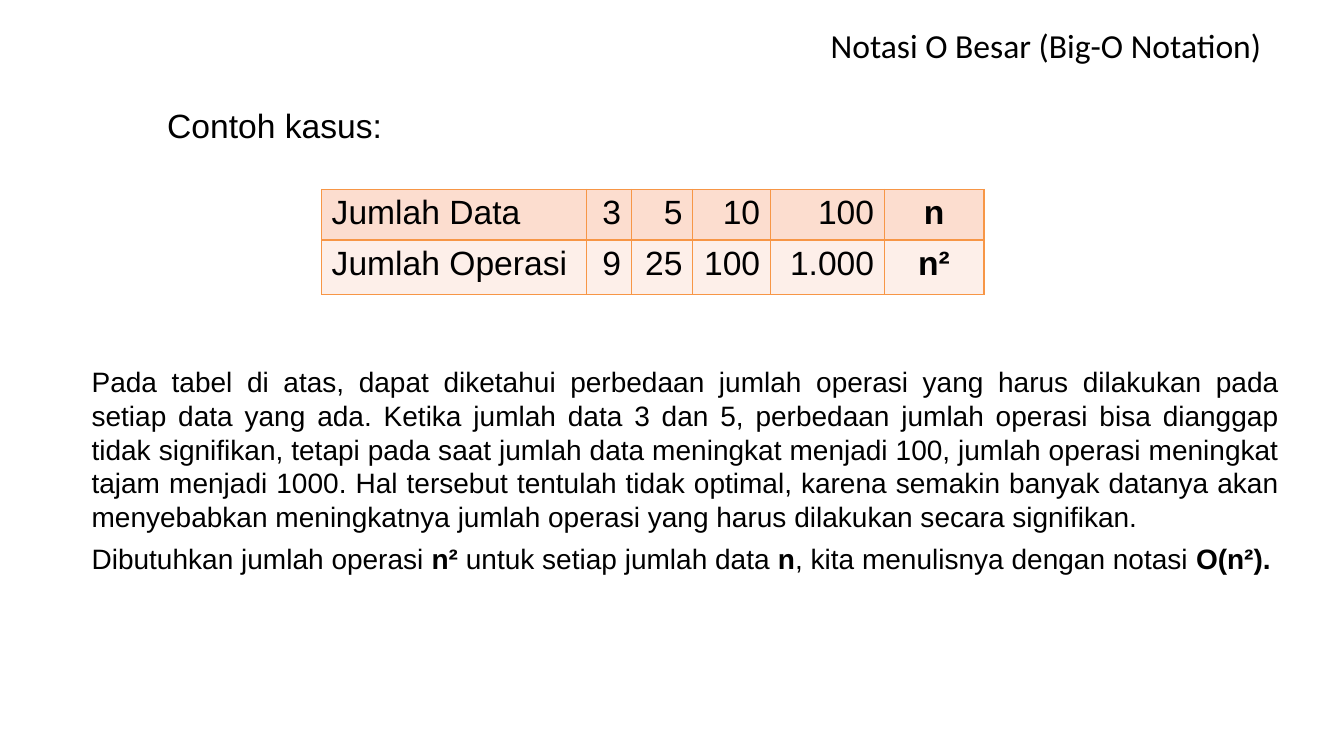
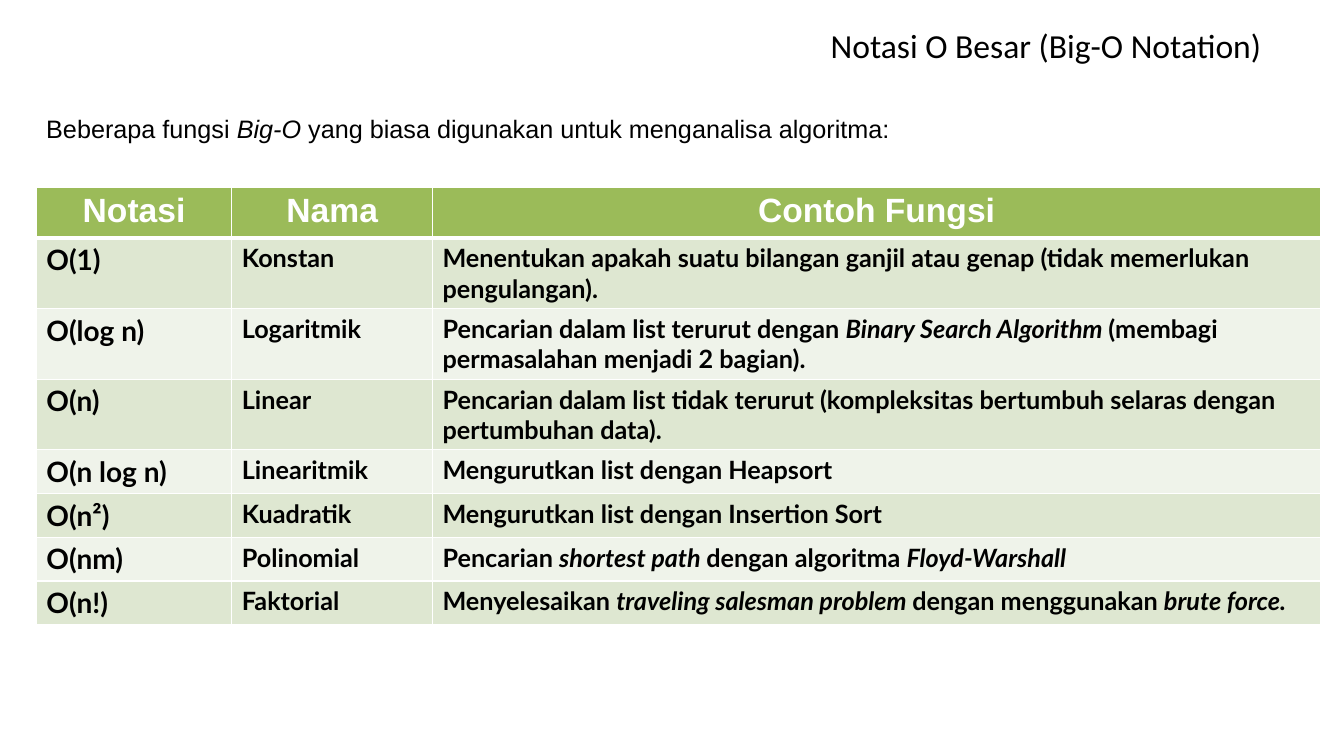
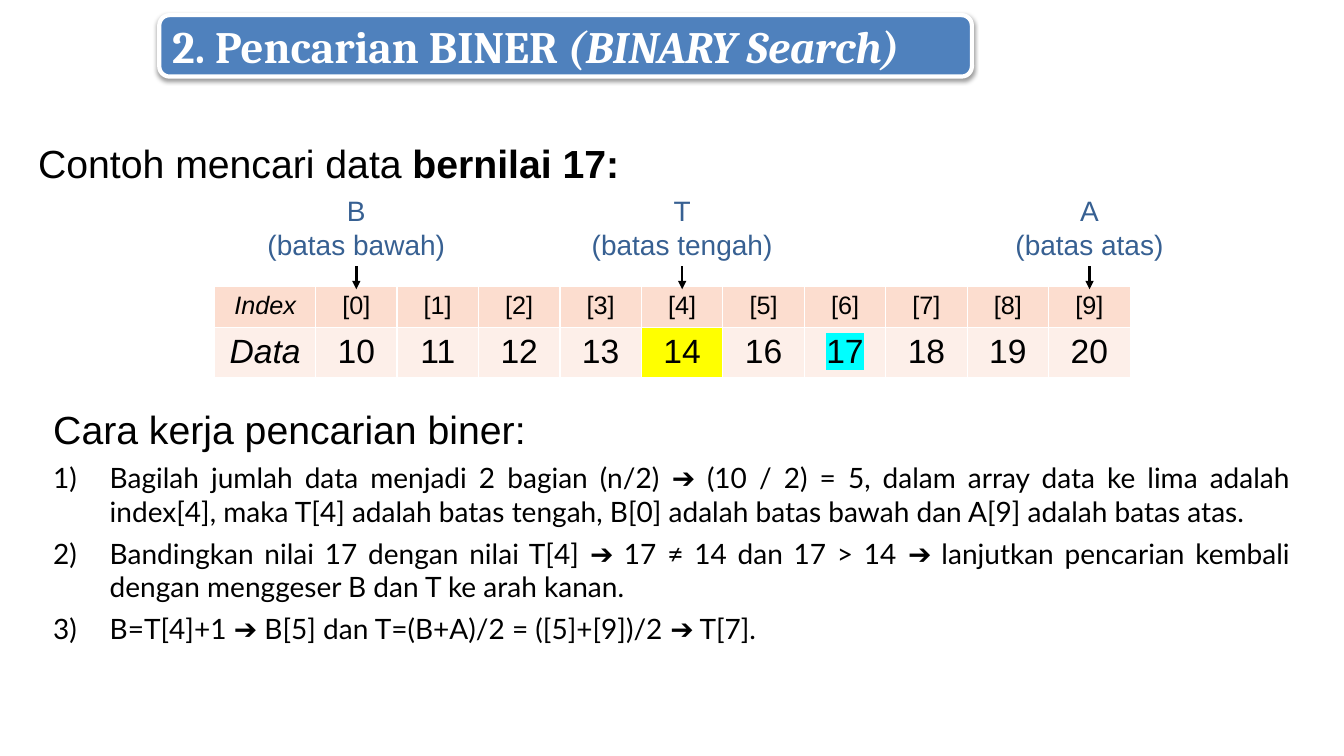
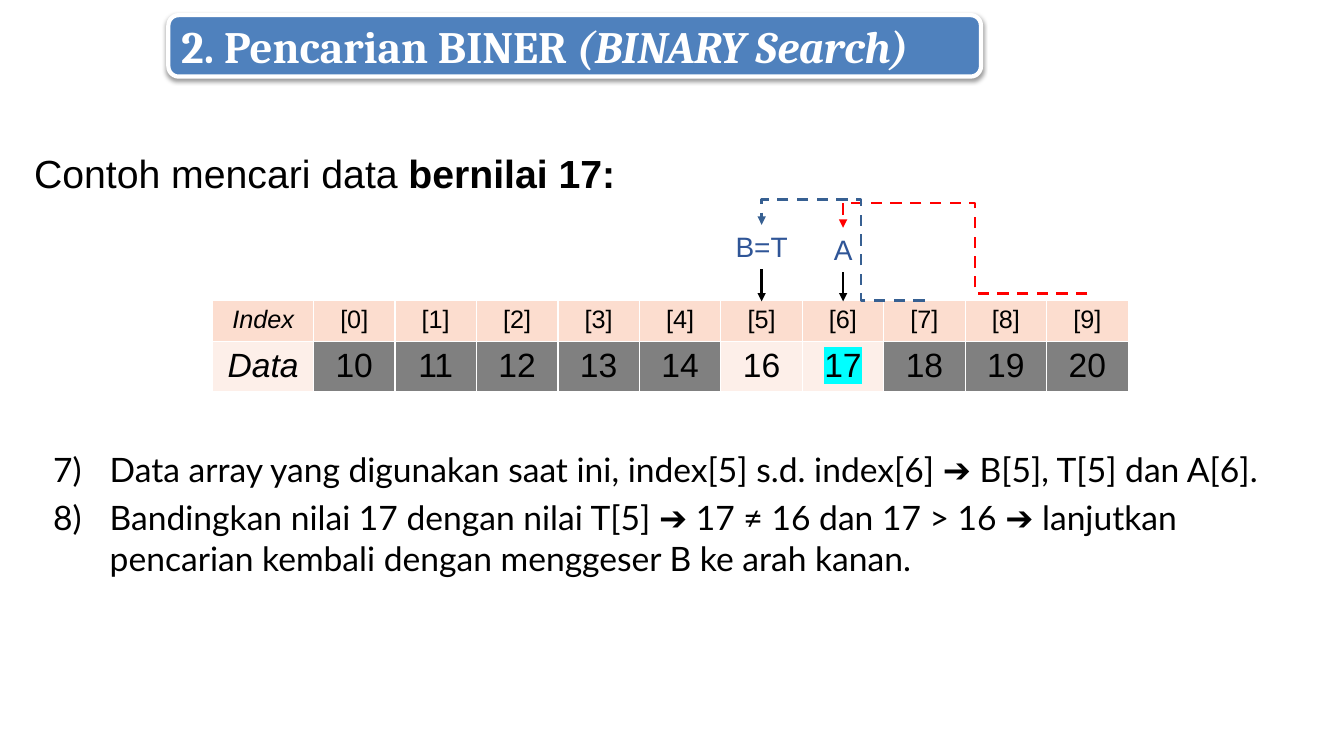
import lxml.etree
import pptx
import pptx.dml.color
import pptx.enum.dml
import pptx.enum.shapes
import pptx.enum.text
import pptx.oxml
import pptx.oxml.ns
import pptx.util

Inches, Pt, qn = pptx.util.Inches, pptx.util.Pt, pptx.oxml.ns.qn
ALIGN = {"l": pptx.enum.text.PP_ALIGN.LEFT, "c": pptx.enum.text.PP_ALIGN.CENTER,
         "r": pptx.enum.text.PP_ALIGN.RIGHT, "j": pptx.enum.text.PP_ALIGN.JUSTIFY}

BLACK, WHITE, BLUE, NAVY, RED = "000000", "FFFFFF", "4F81BD", "376092", "FF0000"
ORANGE, PEACH, PALE_PEACH = "F79646", "FCDDCF", "FDEFE9"
GREEN, SAGE, PALE_SAGE = "9BBB59", "DEE7D1", "EFF3EA"
YELLOW, CYAN, GREY = "FFFF00", "00FFFF", "808080"

# Text between bars is emphasised (bold or italic, chosen by the caller).
TOPIC = "Notasi O Besar (Big-O Notation)"
BANNER = "2. Pencarian BINER |(BINARY Search)|"
SEARCH_TASK = "Contoh mencari data |bernilai 17:|"

OPERATIONS = [["Jumlah Data", "3", "5", "10", "100", "|n|"],
              ["Jumlah Operasi", "9", "25", "100", "1.000", "|n²|"]]
OPERATIONS_TEXT = [
    "Pada tabel di atas, dapat diketahui perbedaan jumlah operasi yang harus dilakukan pada "
    "setiap data yang ada. Ketika jumlah data 3 dan 5, perbedaan jumlah operasi bisa dianggap "
    "tidak signifikan, tetapi pada saat jumlah data meningkat menjadi 100, jumlah operasi "
    "meningkat tajam menjadi 1000. Hal tersebut tentulah tidak optimal, karena semakin banyak "
    "datanya akan menyebabkan meningkatnya jumlah operasi yang harus dilakukan secara signifikan.",
    "Dibutuhkan jumlah operasi |n²| untuk setiap jumlah data |n|, kita menulisnya dengan "
    "notasi |O(n²).|"]

BIG_O_INTRO = "Beberapa fungsi |Big-O| yang biasa digunakan untuk menganalisa algoritma:"
BIG_O = [
    ["Notasi", "Nama", "Contoh Fungsi"],
    ["O(1)", "Konstan", "Menentukan apakah suatu bilangan ganjil atau genap (tidak memerlukan "
     "pengulangan)."],
    ["O(log n)", "Logaritmik", "Pencarian dalam list terurut dengan |Binary Search Algorithm "
     "|(membagi permasalahan menjadi 2 bagian)."],
    ["O(n)", "Linear", "Pencarian dalam list tidak terurut (kompleksitas bertumbuh selaras "
     "dengan pertumbuhan data)."],
    ["O(n log n)", "Linearitmik", "Mengurutkan list dengan Heapsort"],
    ["O(n²)", "Kuadratik", "Mengurutkan list dengan Insertion Sort"],
    ["O(nm)", "Polinomial", "Pencarian |shortest path |dengan algoritma |Floyd-Warshall|"],
    ["O(n!)", "Faktorial", "Menyelesaikan |traveling salesman problem |dengan menggunakan "
     "|brute force.|"]]

VALUES = [10, 11, 12, 13, 14, 16, 17, 18, 19, 20]
TARGET = "17"
ARRAY = [["|Index|"] + [f"[{i}]" for i in range(len(VALUES))],
         ["|Data|"] + [str(v) for v in VALUES]]
ARRAY_HEAD = 1
ARRAY_STEP = (9.08 - ARRAY_HEAD) / len(VALUES)

# text lines, array index, width
BOUNDS = [(["B", "(batas bawah)"], 0, 1.98), (["A", "(batas atas)"], 9, 1.68),
          (["T", "(batas tengah)"], 4, 2.01)]
HOW_TITLE = "Cara kerja pencarian biner:"
HOW_STEPS = [
    "Bagilah jumlah data menjadi 2 bagian (n/2) ➔ (10 / 2) = 5, dalam array data ke lima adalah "
    "index[4], maka T[4] adalah batas tengah, B[0] adalah batas bawah dan A[9] adalah batas atas.",
    "Bandingkan nilai 17 dengan nilai T[4] ➔ 17 ≠ 14 dan 17 > 14 ➔ lanjutkan pencarian kembali "
    "dengan menggeser B dan T ke arah kanan.",
    "B=T[4]+1 ➔ B[5] dan T=(B+A)/2 = ([5]+[9])/2 ➔ T[7]."]

# text, array index, width, top
MOVED_BOUNDS = [("B=T", 5, 0.72, 2.23), ("A", 6, 0.39, 2.26)]
# from index, start y, to index, end y, bend ratios, colour
MOVES = [(9, 2.91, 6, 2.26, (0.46, 1.38), RED), (7, 2.98, 5, 2.23, (0.39, 1.33), NAVY)]
LAST_STEPS = [
    "Data array yang digunakan saat ini, index[5] s.d. index[6] ➔ B[5], T[5] dan A[6].",
    "Bandingkan nilai 17 dengan nilai T[5] ➔ 17 ≠ 16 dan 17 > 16 ➔ lanjutkan pencarian kembali "
    "dengan menggeser B ke arah kanan."]


def rgb(color):
    return pptx.dml.color.RGBColor.from_string(color)


def sub(parent, tag, **attrs):
    el = lxml.etree.SubElement(parent, qn(tag))
    for name, value in attrs.items():
        el.set(name, str(value))
    return el


def write(tf, text, size=20, font="Arial", color=BLACK, bold=False, emphasis="bold", align="l",
          after=0, highlight=None, number_from=None):
    """Add one paragraph per string; number_from numbers them from that value."""
    for line in [text] if isinstance(text, str) else text:
        p = tf.add_paragraph() if tf.paragraphs[0].runs else tf.paragraphs[0]
        p.alignment = ALIGN[align]
        p.space_after = Pt(after)
        if number_from:
            p_pr = p._p.get_or_add_pPr()
            p_pr.set("marL", str(Inches(0.56)))
            p_pr.set("indent", str(-Inches(0.56)))
            sub(p_pr, "a:buFont", typeface="+mj-lt")
            sub(p_pr, "a:buAutoNum", type="arabicParenR", startAt=number_from)
        for i, part in enumerate(line.split("|")):
            if not part:
                continue
            r = p.add_run()
            r.text = part
            r.font.size, r.font.name, r.font.bold = Pt(size), font, bold
            r.font.color.rgb = rgb(color)
            if i % 2:
                setattr(r.font, emphasis, True)
            if highlight:
                mark = lxml.etree.Element(qn("a:highlight"))
                sub(mark, "a:srgbClr", val=highlight)
                r._r.rPr.find(qn("a:solidFill")).addnext(mark)


def add_text(slide, left, top, width, height, text, wrap=True, **fmt):
    sp = slide.shapes.add_textbox(Inches(left), Inches(top), Inches(width), Inches(height))
    sp.text_frame.word_wrap = wrap
    sp.text_frame.auto_size = pptx.enum.text.MSO_AUTO_SIZE.SHAPE_TO_FIT_TEXT
    write(sp.text_frame, text, **fmt)
    return sp


def set_borders(cell, color, **widths):
    """Draw the four cell borders, 1 pt unless a side (L, R, T, B) is given a width."""
    tc_pr = cell._tc.get_or_add_tcPr()
    for i, side in enumerate("LRTB"):
        ln = lxml.etree.Element(qn("a:ln" + side))
        ln.set("w", str(Pt(widths.get(side, 1))))
        sub(sub(ln, "a:solidFill"), "a:srgbClr", val=color)
        tc_pr.insert(i, ln)


def add_table(slide, left, top, widths, heights, rows, cell_format, border, head_rule=1):
    """cell_format(row, column, text) gives the fill and the text format of a cell."""
    table = slide.shapes.add_table(len(rows), len(widths), Inches(left), Inches(top),
                                   Inches(sum(widths)), Inches(sum(heights))).table
    table.first_row = table.horz_banding = False
    for column, width in zip(table.columns, widths):
        column.width = Inches(width)
    for r, row in enumerate(rows):
        table.rows[r].height = Inches(heights[r])
        for c, text in enumerate(row):
            cell = table.cell(r, c)
            fill, fmt = cell_format(r, c, text)
            cell.fill.solid()
            cell.fill.fore_color.rgb = rgb(fill)
            set_borders(cell, border, **{0: {"B": head_rule}, 1: {"T": head_rule}}.get(r, {}))
            write(cell.text_frame, text, **fmt)


def add_line(slide, kind, start, end, color, width):
    line = slide.shapes.add_connector(kind, *(Inches(v) for v in start + end))
    line.line.color.rgb = rgb(color)
    line.line.width = Pt(width)
    sub(line._element.spPr, "a:effectLst")
    return line


def add_arrowhead(line, end):
    sub(line.line._get_or_add_ln(), "a:" + end, type="triangle")


def add_label(slide, text, x, top, width, height, tip, color):
    """Add a label centred on x with an arrow down to tip."""
    label = add_text(slide, x - width / 2, top, width, height, text, wrap=False, color=color,
                     align="c")
    arrow = add_line(slide, pptx.enum.shapes.MSO_CONNECTOR.STRAIGHT, (x, top + height), (x, tip),
                     BLACK, 1.75)
    arrow.begin_connect(label, 2)
    add_arrowhead(arrow, "tailEnd")


def add_move(slide, start, end, bends, color):
    """Add a dashed arrow that rises above its end point and drops onto it."""
    line = add_line(slide, pptx.enum.shapes.MSO_CONNECTOR.ELBOW, end, start, color, 2)
    line.line.dash_style = pptx.enum.dml.MSO_LINE.DASH
    add_arrowhead(line, "tailEnd")
    sp_pr = line._element.spPr
    sp_pr.find(qn("a:xfrm")).set("rot", "10800000")
    geom = sp_pr.find(qn("a:prstGeom"))
    geom.set("prst", "bentConnector4")
    guides = geom.find(qn("a:avLst"))
    if guides is None:
        guides = sub(geom, "a:avLst")
    for i, bend in enumerate(bends, 1):
        sub(guides, "a:gd", name=f"adj{i}", fmla=f"val {round(bend * 100000)}")


def add_topic(slide):
    add_text(slide, 8.14, 0.2, 4.96, 0.5, TOPIC, size=24, font="Calibri")


def add_banner(slide, left):
    sp = slide.shapes.add_shape(pptx.enum.shapes.MSO_SHAPE.ROUNDED_RECTANGLE, Inches(left),
                                Inches(0.15), Inches(8.06), Inches(0.61))
    sp.fill.solid()
    sp.fill.fore_color.rgb = rgb(BLUE)
    sp.line.color.rgb = rgb(WHITE)
    sp.line.width = Pt(3)
    sp.shadow.inherit = False
    shadow = sub(sp._element.spPr.find(qn("a:effectLst")), "a:outerShdw", blurRad=Pt(3.1),
                 dist=Pt(1.6), dir=5400000, rotWithShape=0)
    sub(sub(shadow, "a:srgbClr", val=BLACK), "a:alpha", val=38000)
    sp.text_frame.vertical_anchor = pptx.enum.text.MSO_ANCHOR.MIDDLE
    write(sp.text_frame, BANNER, size=32, font="Cambria", color=WHITE, bold=True,
          emphasis="italic")


def add_array(slide, left, top, data_fills):
    """Add the index/data table; data_fills maps an index to its data cell's fill."""
    def cell_format(r, c, text):
        fill = data_fills.get(c - 1, PALE_PEACH) if r else PEACH
        return fill, dict(size=24 if r else 18, align="c", emphasis="italic",
                          highlight=CYAN if text == TARGET else None)
    add_table(slide, left, top, [ARRAY_HEAD] + [ARRAY_STEP] * len(VALUES), [0.41, 0.5], ARRAY,
              cell_format, WHITE)


def array_x(left, index):
    return left + ARRAY_HEAD + ARRAY_STEP * (index + 0.5)


def operations_format(r, c, text):
    return (PALE_PEACH if r else PEACH), dict(size=24, align="l" if c == 0 else
                                              "c" if c == 5 else "r")


def big_o_format(r, c, text):
    if r == 0:
        return GREEN, dict(size=24, color=WHITE, bold=True, align="c")
    return (SAGE if r % 2 else PALE_SAGE), dict(size=18 if c else 20, font="Lato", bold=True,
                                                emphasis="italic")


def operations_slide(slide):
    add_topic(slide)
    add_text(slide, 1.56, 0.99, 2.76, 0.5, "Contoh kasus:", size=24, align="j")
    add_text(slide, 0.81, 3.57, 11.98, 2.2, OPERATIONS_TEXT, align="j", after=6)
    add_table(slide, 3.19, 1.88, [2.63, 0.44, 0.61, 0.77, 1.13, 0.99], [0.5, 0.54], OPERATIONS,
              operations_format, ORANGE)


def big_o_slide(slide):
    add_topic(slide)
    add_text(slide, 0.36, 1.08, 12.28, 0.4, BIG_O_INTRO, size=18, emphasis="italic", align="j",
             after=6)
    add_table(slide, 0.36, 1.86, [1.94, 1.99, 8.81], [0.49] + [0.7] * 3 + [0.43] * 4, BIG_O,
              big_o_format, WHITE, head_rule=3)


def first_search_slide(slide):
    left, top = 2.13, 2.84
    add_banner(slide, 1.58)
    add_text(slide, 0.28, 1.33, 12.47, 0.57, SEARCH_TASK, size=28, align="j")
    add_array(slide, left, top, {4: YELLOW})
    how = add_text(slide, 0.43, 3.97, 12.47, 2.51, HOW_TITLE, size=28, align="j", after=6)
    write(how.text_frame, HOW_STEPS, font="Lato", align="j", after=6, number_from=1)
    for text, index, width in BOUNDS:
        add_label(slide, text, array_x(left, index), 1.87, width, 0.77, top + 0.03, NAVY)


def last_search_slide(slide):
    left, top = 2.11, 2.98
    add_banner(slide, 1.67)
    add_array(slide, left, top, {i: GREY for i in range(len(VALUES)) if i not in (5, 6)})
    add_text(slide, 0.43, 4.4, 12.47, 1.4, LAST_STEPS, size=24, font="Lato", after=6,
             number_from=7)
    for text, index, width, label_top in MOVED_BOUNDS:
        add_label(slide, text, array_x(left, index), label_top, width, 0.44, top + 0.01, "2F5597")
    add_text(slide, 0.24, 1.43, 12.47, 0.57, SEARCH_TASK, size=28, align="j")
    for start, start_y, end, end_y, bends, color in MOVES:
        add_move(slide, (array_x(left, start), start_y), (array_x(left, end), end_y), bends,
                 color)


def main():
    prs = pptx.Presentation()
    prs.slide_width, prs.slide_height = Inches(13.33), Inches(7.5)
    for build in (operations_slide, big_o_slide, first_search_slide, last_search_slide):
        build(prs.slides.add_slide(prs.slide_layouts[6]))
    prs.save("out.pptx")


if __name__ == "__main__":
    main()
